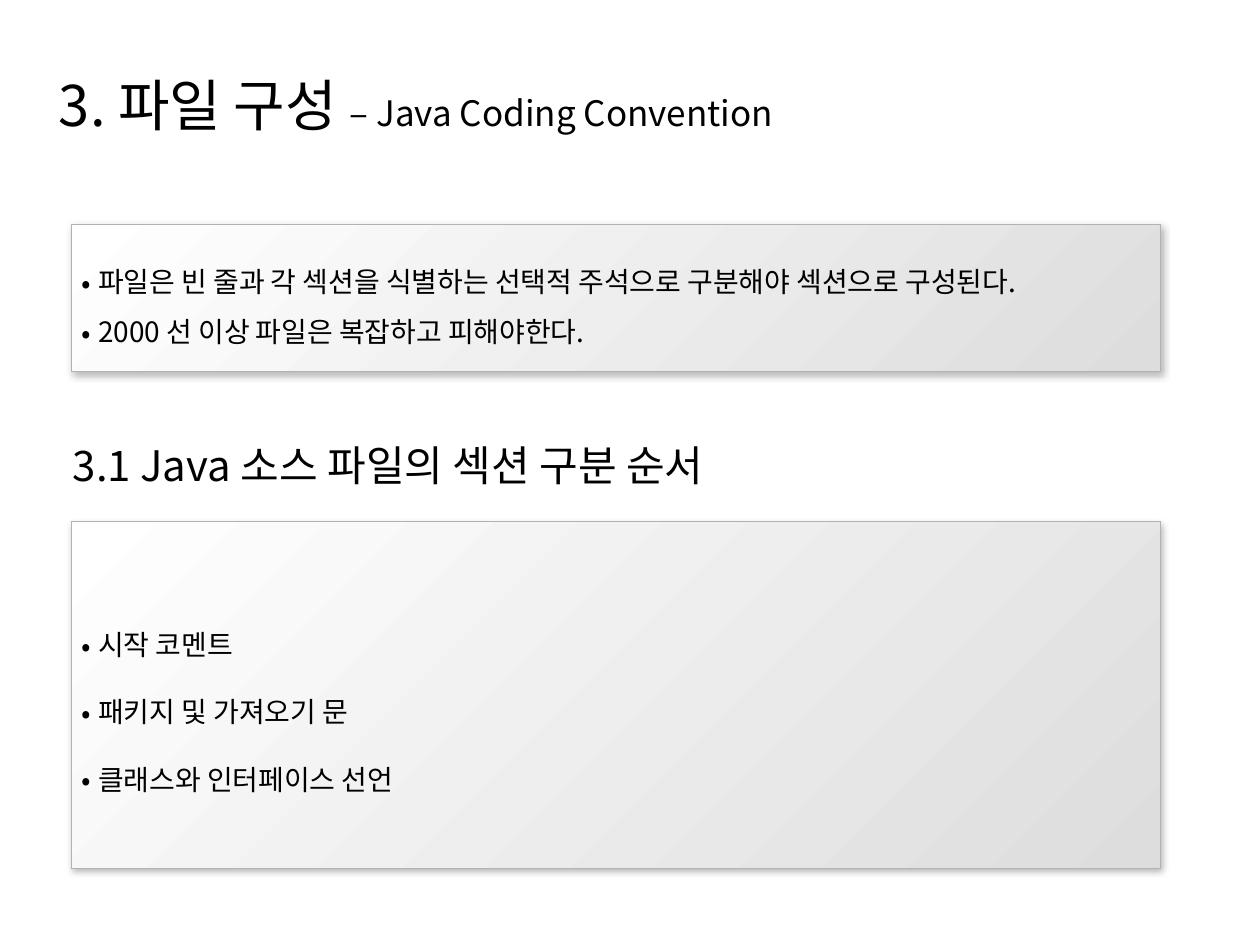
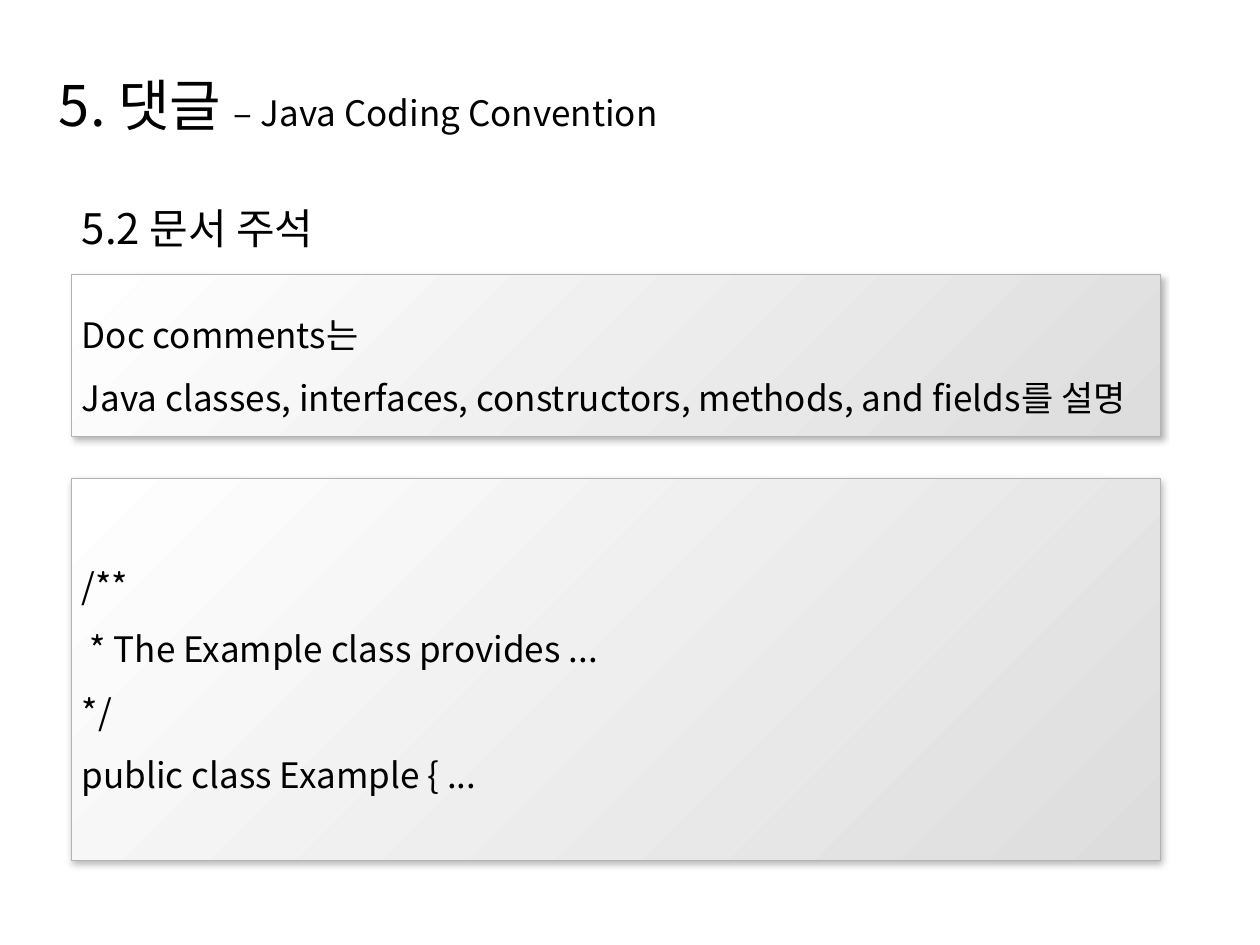
from dataclasses import dataclass

from lxml import etree
from pptx import Presentation
from pptx.dml.color import RGBColor
from pptx.enum import shapes, text
from pptx.oxml.ns import qn
from pptx.util import Cm, Pt


@dataclass(frozen=True)
class Theme:
    font: str = "Noto Sans CJK KR"
    ink: str = "000000"
    panel_light: str = "FFFFFF"
    panel_dark: str = "DDDDDD"
    border: str = "B2B2B2"
    title: int = 32
    heading: int = 24
    body: int = 20
    points: int = 16


THEME = Theme()
SERIES = "– Java Coding Convention"
PANEL_LEFT, PANEL_WIDTH = 1.45, 21.95


def set_all(target, values):
    for name, value in values.items():
        setattr(target, name, value)


# Text
def write(paragraph, words, size):
    run = paragraph.add_run()
    run.text = words
    set_all(run.font, {"name": THEME.font, "size": Pt(size)})
    run.font.color.rgb = RGBColor.from_string(THEME.ink)
    etree.SubElement(run.font._element, qn("a:ea"), typeface=THEME.font)


def bullet(paragraph):
    indent = Cm(0.33)
    props = paragraph._p.get_or_add_pPr()
    props.set("marL", str(indent))
    props.set("indent", str(-indent))
    etree.SubElement(props, qn("a:buFont"), typeface=THEME.font)
    etree.SubElement(props, qn("a:buChar"), char="•")


def set_frame(frame, side, edge, anchor):
    set_all(frame, {
        "word_wrap": True, "vertical_anchor": anchor,
        "margin_left": Cm(side), "margin_right": Cm(side),
        "margin_top": Cm(edge), "margin_bottom": Cm(edge),
    })


def add_text(slide, place, side):
    frame = slide.shapes.add_textbox(*map(Cm, place)).text_frame
    set_frame(frame, side, 0.13, text.MSO_ANCHOR.TOP)
    return frame.paragraphs[0]


def add_title(slide, topic):
    title = add_text(slide, (1.19, 1.3, 19.63, 1.68), 0)
    write(title, topic + " ", THEME.title)
    write(title, SERIES, THEME.body)


def add_heading(slide, words, place, spacing=1.0):
    heading = add_text(slide, place, 0.25)
    heading.line_spacing = spacing
    write(heading, words, THEME.heading)


# Shaded panels
def add_shadow(panel):
    panel.shadow.inherit = False
    effects = panel._element.spPr.find(qn("a:effectLst"))
    shadow = etree.SubElement(
        effects, qn("a:outerShdw"), blurRad=str(Pt(4)), dist=str(Pt(2)),
        dir=str(67 * 60000), algn="ctr", rotWithShape="0")
    color = etree.SubElement(shadow, qn("a:srgbClr"), val=THEME.ink)
    etree.SubElement(color, qn("a:alpha"), val="28000")


def add_panel(slide, top, height, lines, size, spacing=1.5, bulleted=False):
    panel = slide.shapes.add_shape(
        shapes.MSO_SHAPE.ROUNDED_RECTANGLE,
        *map(Cm, (PANEL_LEFT, top, PANEL_WIDTH, height)))
    panel.adjustments[0] = 0
    panel.fill.gradient()
    panel.fill.gradient_angle = 315
    shades = (THEME.panel_light, THEME.panel_dark)
    for stop, shade in zip(panel.fill.gradient_stops, shades):
        stop.color.rgb = RGBColor.from_string(shade)
    panel.line.color.rgb = RGBColor.from_string(THEME.border)
    panel.line.width = Pt(0.5)
    add_shadow(panel)

    frame = panel.text_frame
    set_frame(frame, 0.2, 0.2, text.MSO_ANCHOR.MIDDLE)
    for index, line in enumerate(lines):
        paragraph = frame.add_paragraph() if index else frame.paragraphs[0]
        set_all(paragraph, {"alignment": text.PP_ALIGN.LEFT,
                            "line_spacing": spacing})
        if bulleted:
            bullet(paragraph)
        write(paragraph, line, size)


# Slides
def file_structure(slide):
    add_title(slide, "3. 파일 구성")
    add_panel(slide, 4.52, 2.97, [
        "파일은 빈 줄과 각 섹션을 식별하는 선택적 주석으로 구분해야 섹션으로 구성된다.",
        "2000 선 이상 파일은 복잡하고 피해야한다.",
    ], THEME.points, bulleted=True)
    add_heading(slide, "3.1 Java 소스 파일의 섹션 구분 순서",
                (1.22, 8.74, 14.45, 1.27))
    add_panel(slide, 10.52, 6.98, [
        "시작 코멘트",
        "패키지 및 가져오기 문",
        "클래스와 인터페이스 선언",
    ], THEME.points, spacing=2.0, bulleted=True)


def doc_comments(slide):
    add_title(slide, "5. 댓글")
    add_heading(slide, "5.2 문서 주석", (1.4, 3.45, 12.7, 1.8), spacing=1.5)
    add_panel(slide, 5.54, 3.25, [
        "Doc comments는",
        "Java classes, interfaces, constructors, methods, and fields를 설명",
    ], THEME.body)
    add_panel(slide, 9.65, 7.7, [
        "/**",
        " * The Example class provides ...",
        "*/",
        "public class Example { ...",
    ], THEME.body)


def main():
    deck = Presentation()
    set_all(deck, {"slide_width": Cm(25.4), "slide_height": Cm(19.05)})
    blank = deck.slide_layouts[6]
    for build in (file_structure, doc_comments):
        build(deck.slides.add_slide(blank))
    deck.save("out.pptx")


if __name__ == "__main__":
    main()
